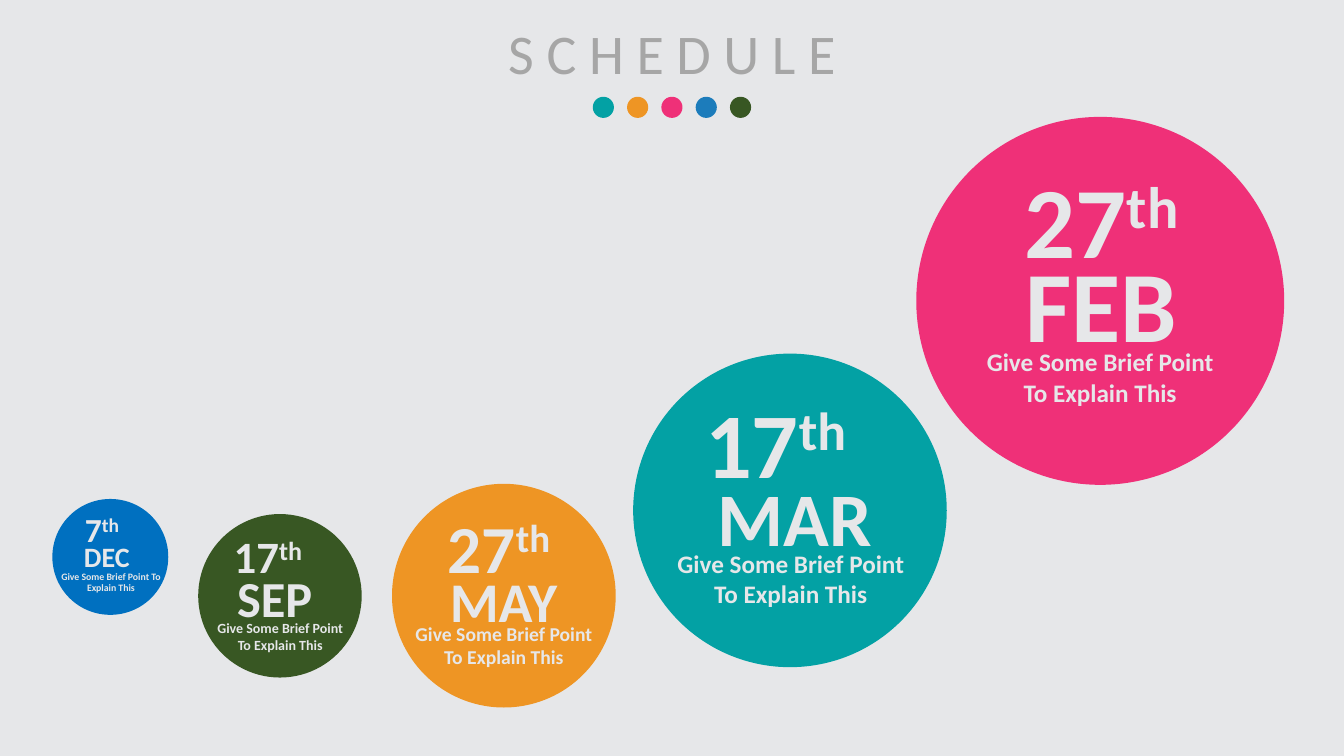
from pptx import Presentation
from pptx.dml.color import RGBColor
from pptx.enum.shapes import MSO_SHAPE
from pptx.enum.text import MSO_AUTO_SIZE, PP_ALIGN
from pptx.util import Pt

TEAL, ORANGE, PINK, GREEN = "03A1A4", "EE9524", "EF3078", "385723"
PALE = "E6E7E9"
rgb = RGBColor.from_string


def add_circle(group, x, y, size, color):
    sp = group.shapes.add_shape(MSO_SHAPE.OVAL, Pt(x), Pt(y), Pt(size), Pt(size))
    sp.shadow.inherit = False
    sp.fill.solid()
    sp.fill.fore_color.rgb = rgb(color)
    sp.line.fill.background()


def add_label(parent, box, text, size, color=PALE, bold=True):
    tf = parent.shapes.add_textbox(*map(Pt, box)).text_frame
    tf.word_wrap = True
    tf.auto_size = MSO_AUTO_SIZE.SHAPE_TO_FIT_TEXT
    p = tf.paragraphs[0]
    p.alignment = PP_ALIGN.CENTER
    p.font.name = "Calibri"
    p.font.size = Pt(size)
    p.font.bold = bold
    p.font.color.rgb = rgb(color)
    p.add_run().text = text
    return p


prs = Presentation()
prs.slide_width, prs.slide_height = Pt(960), Pt(540)
s = prs.slides.add_slide(prs.slide_layouts[6])
s.background.fill.solid()
s.background.fill.fore_color.rgb = rgb(PALE)

add_label(s, (193.5, 10, 573, 55.4), "S C H E D U L E", 40, "A6A6A6", False)

dots = s.shapes.add_group_shape()
for i, color in enumerate([TEAL, ORANGE, PINK, "1C7CBB", GREEN]):
    add_circle(dots, 423.4 + 24.5 * i, 69.1, 15.1, color)

events = [
    (PINK, (654.5, 83.5, 262.8),
     "FEB", 72, (689.8, 169.2, 193.7, 94.3),
     "27", 72, (694.8, 109.4, 193.7, 94.3),
     18, (689, 244.1, 193.7, 51.1)),
    (TEAL, (452.3, 252.6, 224),
     "MAR", 54, (470.9, 332.6, 193.7, 72.7),
     "17", 66, (461.5, 272.2, 193.7, 87.1),
     18, (468, 388.1, 193.7, 51.1)),
    (ORANGE, (280, 345.6, 159.8),
     "MAY", 40, (262.8, 401, 193.7, 55.4),
     "27", 48, (262.8, 357.8, 193.7, 65.5),
     14, (288, 440.6, 144, 41)),
    (GREEN, (141.6, 367.2, 116.8),
     "SEP", 36, (99.4, 401.8, 193.7, 51.1),
     "17", 32, (96.5, 374.4, 193.7, 46.1),
     10, (144.7, 439.2, 110.9, 31.7)),
    ("0070C0", (37.4, 356.4, 82.8),
     "DEC", 20, (49.7, 381.6, 53.3, 31.7),
     "7", 24, (48.2, 360, 52.6, 36),
     7, (36.6, 403.9, 85.3, 24.5)),
]

for (color, circle, month, month_size, month_box,
     day, day_size, day_box, note_size, note_box) in events:
    event = s.shapes.add_group_shape()
    add_circle(event, *circle, color)
    add_label(event, month_box, month, month_size)
    p = add_label(event, day_box, day, day_size)
    r = p.add_run()
    r.text = "th "
    r._r.get_or_add_rPr().set("baseline", "30000")
    add_label(event, note_box, "Give Some Brief Point To Explain This", note_size)

prs.save("out.pptx")
